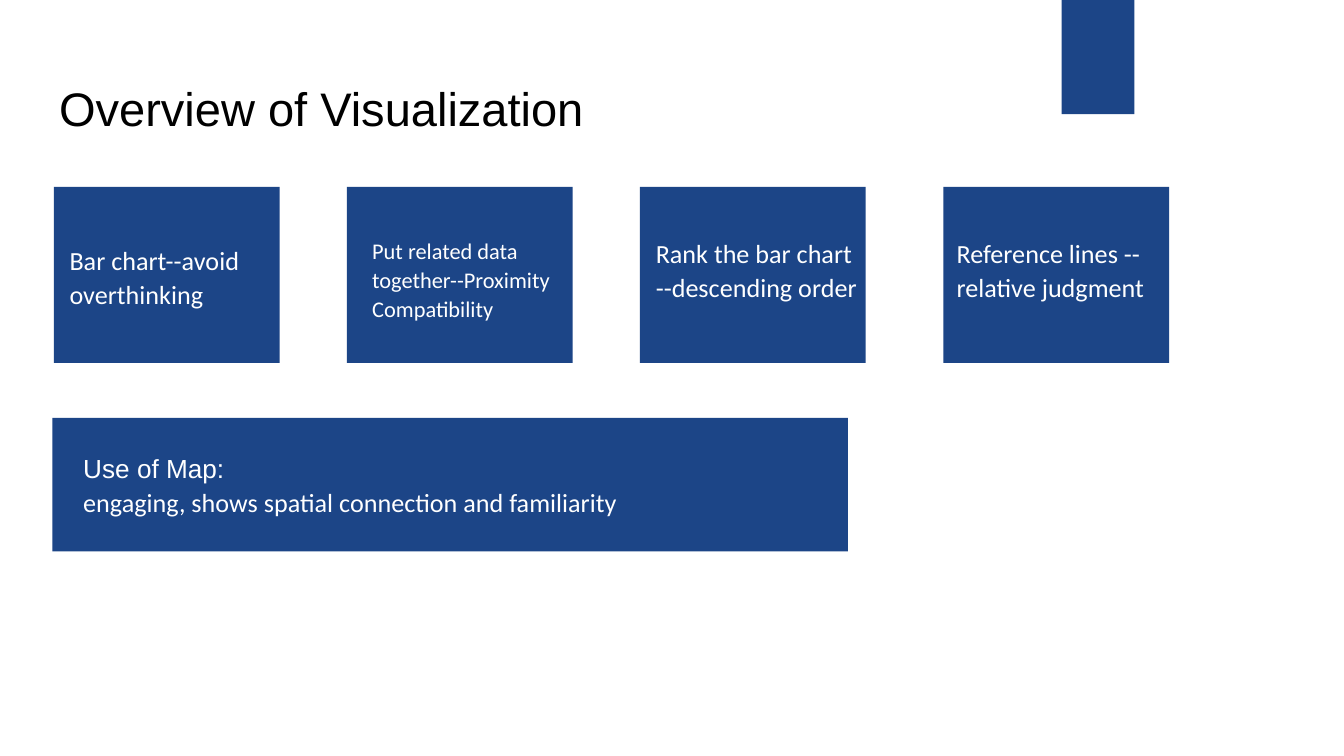
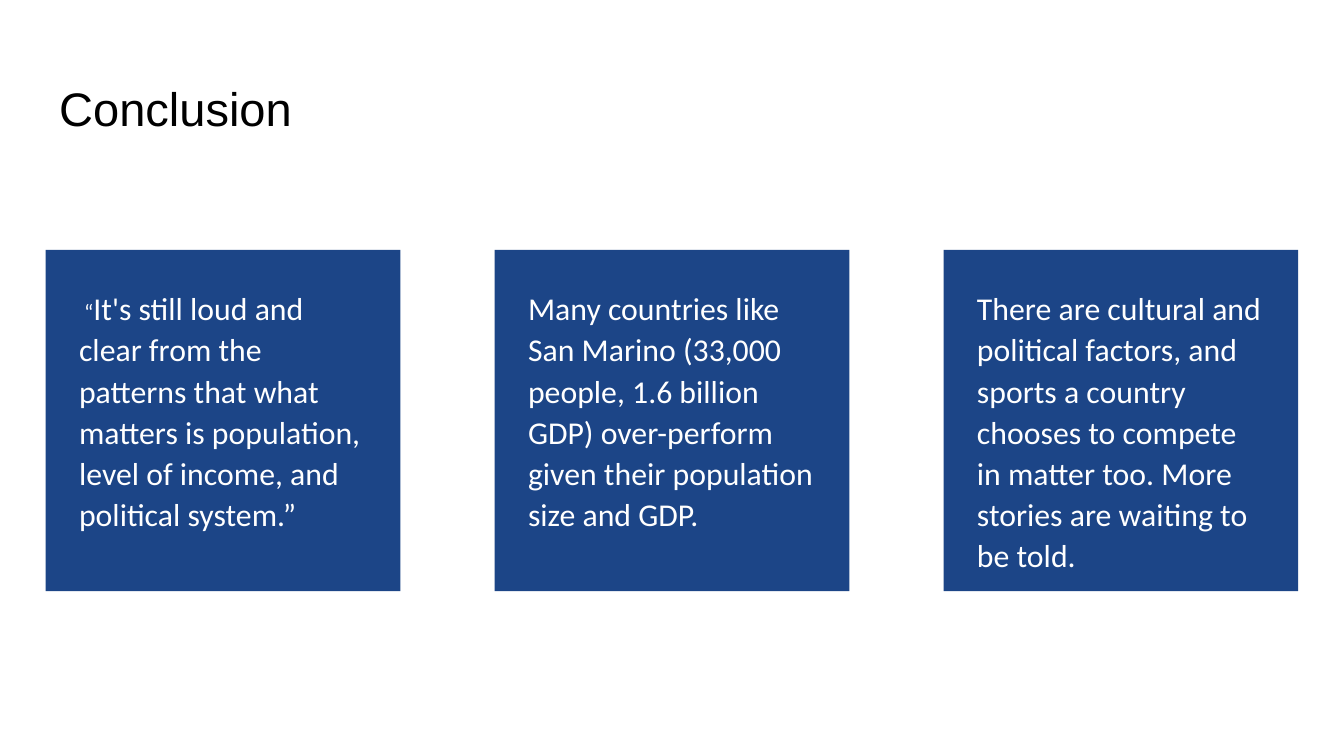
from pptx import Presentation
from pptx import util as u
from pptx.dml import color
from pptx.enum import shapes, text

NAVY = color.RGBColor(0x1C, 0x45, 0x87)
WHITE = color.RGBColor(0xFF, 0xFF, 0xFF)
BLACK = color.RGBColor(0x00, 0x00, 0x00)

TITLE_BOX = (24.5, 35.3, 671, 45.4)
TAB_BOX = (568.8, 0, 38.9, 61.2)
TITLE_FONT = {"name": "Arial", "size": u.Pt(25.2), "bold": False}
FRAME = {
    "word_wrap": True,
    "vertical_anchor": text.MSO_ANCHOR.TOP,
    **{f"margin_{side}": u.Pt(7.2) for side in ("left", "top", "right", "bottom")},
}
BODY_PARAGRAPH = {"line_spacing": 1.08}
SPACED_PARAGRAPH = {"line_spacing": 1.08, "space_after": u.Pt(8)}

TIPS = [
    (28.8, "Bar chart--avoid overthinking", 14, (1.4, 22.3, 117.4, 49.7)),
    (185.8, "Put related data together--Proximity Compatibility", 12,
     (6.5, 18.7, 116.6, 60.5)),
    (342.8, "Rank the bar chart --descending order", 14, (1.4, 18.7, 128.9, 49.7)),
    (505.4, "Reference lines --relative judgment", 14, (0, 18.7, 139.7, 49.7)),
]
CONCLUSIONS = [
    ([(" “", 12), ("It's still loud and clear from the patterns that what matters is "
                   "population, level of income, and political system.”", 17)], 146.2),
    ([("Many countries like San Marino (33,000 people, 1.6 billion GDP) over-perform "
       "given their population size and GDP.", 17)], 146.2),
    ([("There are cultural and political factors, and sports a country chooses to "
       "compete in matter too. More stories are waiting to be told.", 17)], 168.5),
]


def apply_format(target, values):
    for name, value in values.items():
        setattr(target, name, value)


def points(box):
    return [u.Pt(value) for value in box]


def add_title_slide(presentation, title):
    slide = presentation.slides.add_slide(presentation.slide_layouts[5])
    placeholder = slide.shapes.title
    apply_format(placeholder, dict(zip(("left", "top", "width", "height"), points(TITLE_BOX))))
    frame = placeholder.text_frame
    frame.text = title
    apply_format(frame, {**FRAME, "auto_size": text.MSO_AUTO_SIZE.NONE})
    paragraph = frame.paragraphs[0]
    paragraph.alignment = text.PP_ALIGN.LEFT
    font = paragraph.runs[0].font
    apply_format(font, TITLE_FONT)
    font.color.rgb = BLACK
    return slide


def add_panel(slide, box):
    shape = slide.shapes.add_shape(shapes.MSO_SHAPE.RECTANGLE, *points(box))
    shape.shadow.inherit = False
    shape.fill.solid()
    shape.fill.fore_color.rgb = NAVY
    shape.line.fill.background()


def add_text(slide, box, paragraphs):
    frame = slide.shapes.add_textbox(*points(box)).text_frame
    apply_format(frame, {**FRAME, "auto_size": text.MSO_AUTO_SIZE.SHAPE_TO_FIT_TEXT})
    for index, (runs, font_name, paragraph_format) in enumerate(paragraphs):
        paragraph = frame.add_paragraph() if index else frame.paragraphs[0]
        apply_format(paragraph, paragraph_format)
        for words, size in runs:
            run = paragraph.add_run()
            run.text = words
            apply_format(run.font, {"name": font_name, "size": u.Pt(size)})
            run.font.color.rgb = WHITE


def add_card(slide, box, text_box, paragraphs):
    left, top = box[:2]
    dx, dy, width, height = text_box
    add_panel(slide, box)
    add_text(slide, (left + dx, top + dy, width, height), paragraphs)


def build_overview(presentation):
    slide = add_title_slide(presentation, "Overview of Visualization")
    add_panel(slide, TAB_BOX)
    for left, words, size, text_box in TIPS:
        add_card(slide, (left, 100.1, 121, 94.3), text_box,
                 [([(words, size)], "Calibri", BODY_PARAGRAPH)])
    add_card(slide, (28.1, 223.9, 426.2, 71.6), (9.4, 11.5, 426.2, 48.2), [
        ([("Use of Map:", 14)], "Arial", {}),
        ([("engaging, shows spatial connection and familiarity", 14)],
         "Calibri", BODY_PARAGRAPH),
    ])


def build_conclusion(presentation):
    slide = add_title_slide(presentation, "Conclusion")
    for column, (runs, text_height) in enumerate(CONCLUSIONS):
        add_card(slide, (24.5 + column * 240.5, 133.9, 190, 182.9),
                 (10.8, 12.2, 168.5, text_height),
                 [(runs, "Calibri", SPACED_PARAGRAPH)])


def main():
    presentation = Presentation()
    apply_format(presentation, {"slide_width": u.Pt(720), "slide_height": u.Pt(405)})
    build_overview(presentation)
    build_conclusion(presentation)
    presentation.save("out.pptx")


if __name__ == "__main__":
    main()
